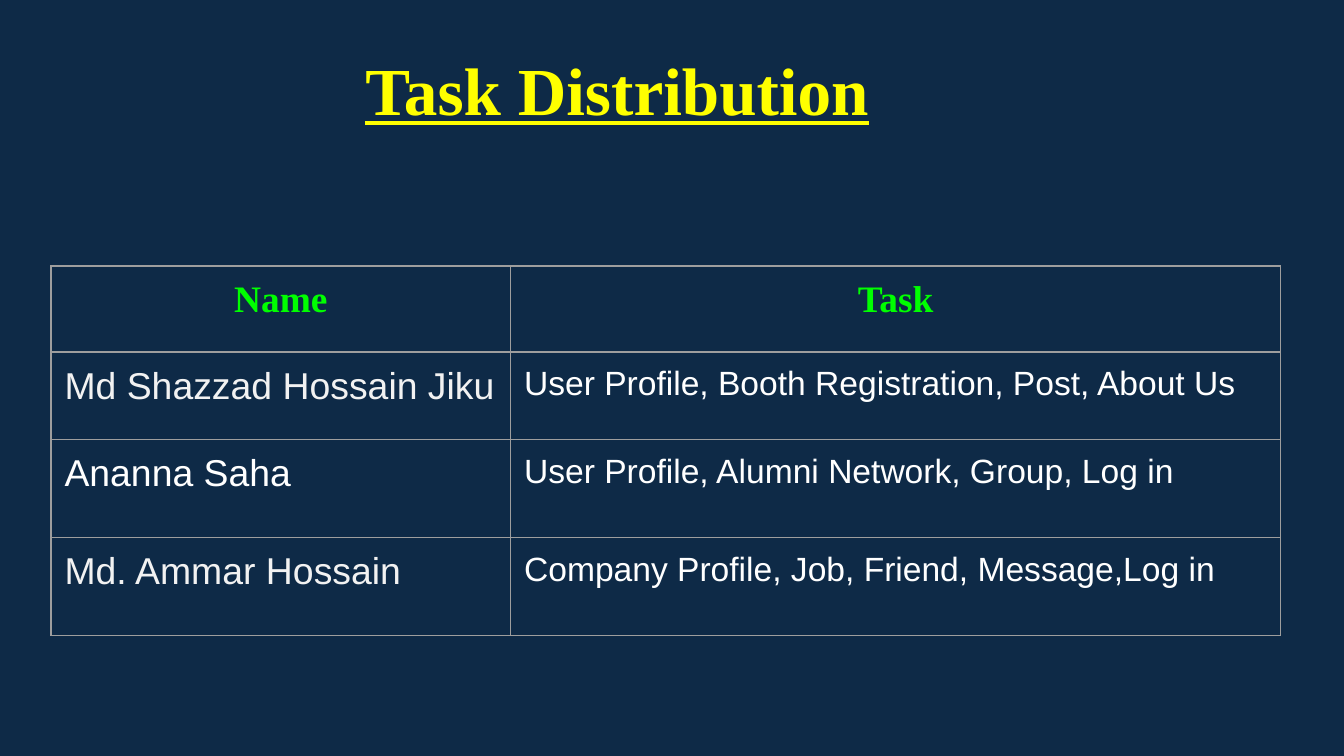
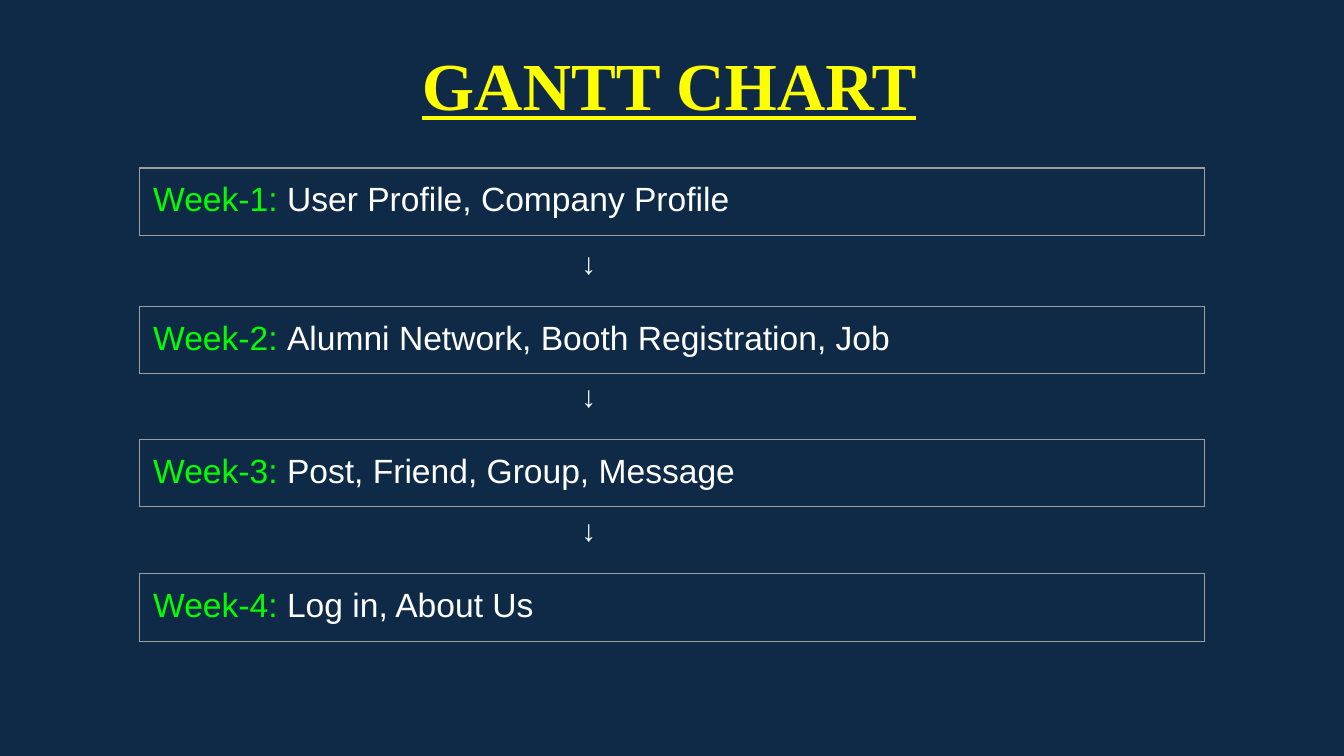
from lxml.etree import SubElement
from pptx import Presentation
from pptx.dml.color import RGBColor
from pptx.enum.text import MSO_AUTO_SIZE as AutoSize, PP_ALIGN as Align
from pptx.oxml.ns import qn
from pptx.util import Inches, Pt

NAVY = RGBColor(0x0E, 0x2A, 0x47)
YELLOW = RGBColor(0xFF, 0xFF, 0x00)
GREEN = RGBColor(0x00, 0xFF, 0x00)
WHITE = RGBColor(0xFF, 0xFF, 0xFF)
PALE = RGBColor(0xF2, 0xF2, 0xF2)
GRAY = RGBColor(0x9E, 0x9E, 0x9E)

TITLE = {"name": "Times New Roman", "size": Pt(36), "bold": True, "underline": True, "color": YELLOW}
HEADER = {"name": "Times New Roman", "size": Pt(20), "bold": True, "color": GREEN}
TASK = {"name": "Arial", "size": Pt(18), "bold": False, "color": WHITE}
MEMBER = TASK | {"size": Pt(20)}
PALE_MEMBER = MEMBER | {"color": PALE}
WEEK = TASK | {"color": GREEN}
ARROW = {"name": "Arial Narrow", "size": Pt(16), "bold": True, "color": WHITE}

HEADINGS = ("Name", "Task")
MEMBERS = [
    ("Md Shazzad Hossain Jiku", "User Profile, Booth Registration, Post, About Us", PALE_MEMBER),
    ("Ananna Saha", "User Profile, Alumni Network, Group, Log in", MEMBER),
    ("Md. Ammar Hossain", "Company Profile, Job, Friend, Message,Log in", PALE_MEMBER),
]
TASK_COLUMNS = (3.42, 5.73)
TASK_ROWS = (0.64, 0.65, 0.73, 0.73)

WEEKS = [
    (1.25, "User Profile, Company Profile"),
    (2.28, "Alumni Network, Booth Registration, Job"),
    (3.27, "Post, Friend, Group, Message"),
    (4.27, "Log in, About Us"),
]
ARROW_RISE = 0.56


def write(frame, runs, align=Align.LEFT):
    """Fill the first paragraph of a frame with formatted runs."""
    paragraph = frame.paragraphs[0]
    paragraph.alignment = align
    for text, style in runs:
        run = paragraph.add_run()
        run.text = text
        for key, value in style.items():
            if key == "color":
                run.font.color.rgb = value
            else:
                setattr(run.font, key, value)


def set_margins(target):
    """Give a cell or a text frame the shared inset."""
    for side in ("left", "right", "top", "bottom"):
        setattr(target, f"margin_{side}", Inches(0.1))


def add_text(slide, box, runs, align=Align.LEFT):
    """Add a wrapping text box and return its frame."""
    frame = slide.shapes.add_textbox(*map(Inches, box)).text_frame
    frame.word_wrap = True
    set_margins(frame)
    write(frame, runs, align)
    return frame


def add_slide(deck, title, box):
    """Add a navy slide with an underlined title."""
    slide = deck.slides.add_slide(deck.slide_layouts[6])
    slide.background.fill.solid()
    slide.background.fill.fore_color.rgb = NAVY
    add_text(slide, box, [(title, TITLE)])
    return slide


def outline(cell):
    """Draw thin gray borders around an unfilled cell."""
    properties = cell._tc.get_or_add_tcPr()
    for edge in ("lnL", "lnR", "lnT", "lnB"):
        line = SubElement(properties, qn(f"a:{edge}"), w=str(Pt(0.75)))
        fill = SubElement(line, qn("a:solidFill"))
        SubElement(fill, qn("a:srgbClr"), val=str(GRAY))
    cell.fill.background()


def add_grid(slide, left, top, widths, heights, rows):
    """Add an outlined table whose cells are (runs, alignment) pairs."""
    size = (left, top, sum(widths), sum(heights))
    table = slide.shapes.add_table(len(heights), len(widths), *map(Inches, size)).table
    table.first_row = table.horz_banding = False
    for column, width in zip(table.columns, widths):
        column.width = Inches(width)
    for row, height, contents in zip(table.rows, heights, rows):
        row.height = Inches(height)
        for cell, (runs, align) in zip(row.cells, contents):
            set_margins(cell)
            outline(cell)
            write(cell.text_frame, runs, align)


def add_task_slide(deck):
    """Show who does which task."""
    slide = add_slide(deck, "Task Distribution", (2.62, 0.26, 5.97, 0.76))
    rows = [[([(heading, HEADER)], Align.CENTER) for heading in HEADINGS]]
    for member, tasks, style in MEMBERS:
        rows.append([([(member, style)], Align.LEFT), ([(tasks, TASK)], Align.LEFT)])
    add_grid(slide, 0.38, 1.98, TASK_COLUMNS, TASK_ROWS, rows)


def add_schedule_slide(deck):
    """Show the weeks as a chain of boxes joined by arrows."""
    slide = add_slide(deck, "GANTT CHART", (3.04, 0.22, 4.73, 0.71))
    for number, (top, tasks) in enumerate(WEEKS, 1):
        runs = [(f"Week-{number}: ", WEEK), (tasks, TASK)]
        add_grid(slide, 1.04, top, [7.92], [0.5], [[(runs, Align.LEFT)]])
    for top, _ in WEEKS[1:]:
        box = (2.74, top - ARROW_RISE, 3.28, 0.47)
        frame = add_text(slide, box, [("↓", ARROW)], Align.CENTER)
        frame.auto_size = AutoSize.SHAPE_TO_FIT_TEXT


def main():
    """Build and save the deck."""
    deck = Presentation()
    deck.slide_width = Inches(10)
    deck.slide_height = deck.slide_width * 9 // 16
    add_task_slide(deck)
    add_schedule_slide(deck)
    deck.save("out.pptx")


if __name__ == "__main__":
    main()
